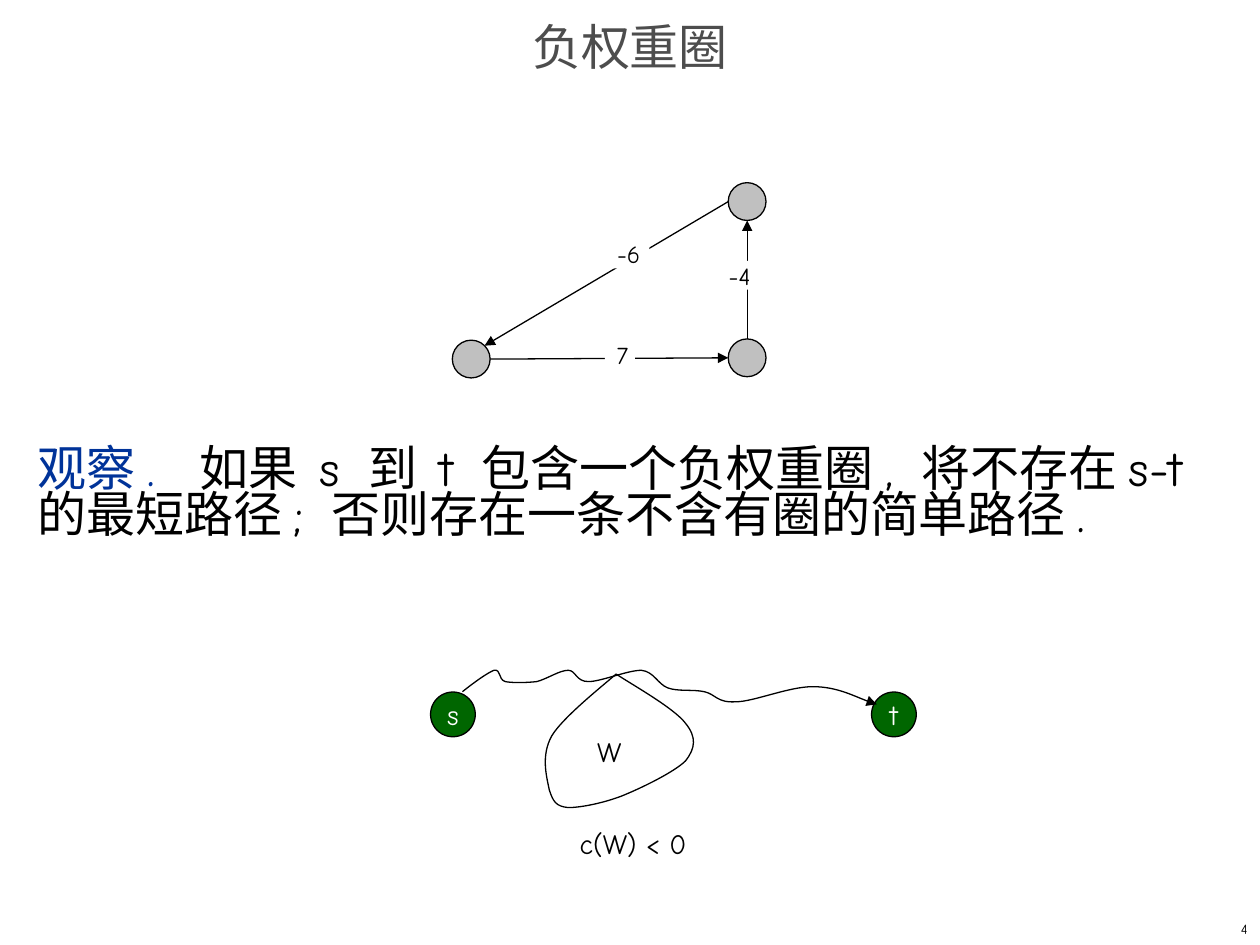
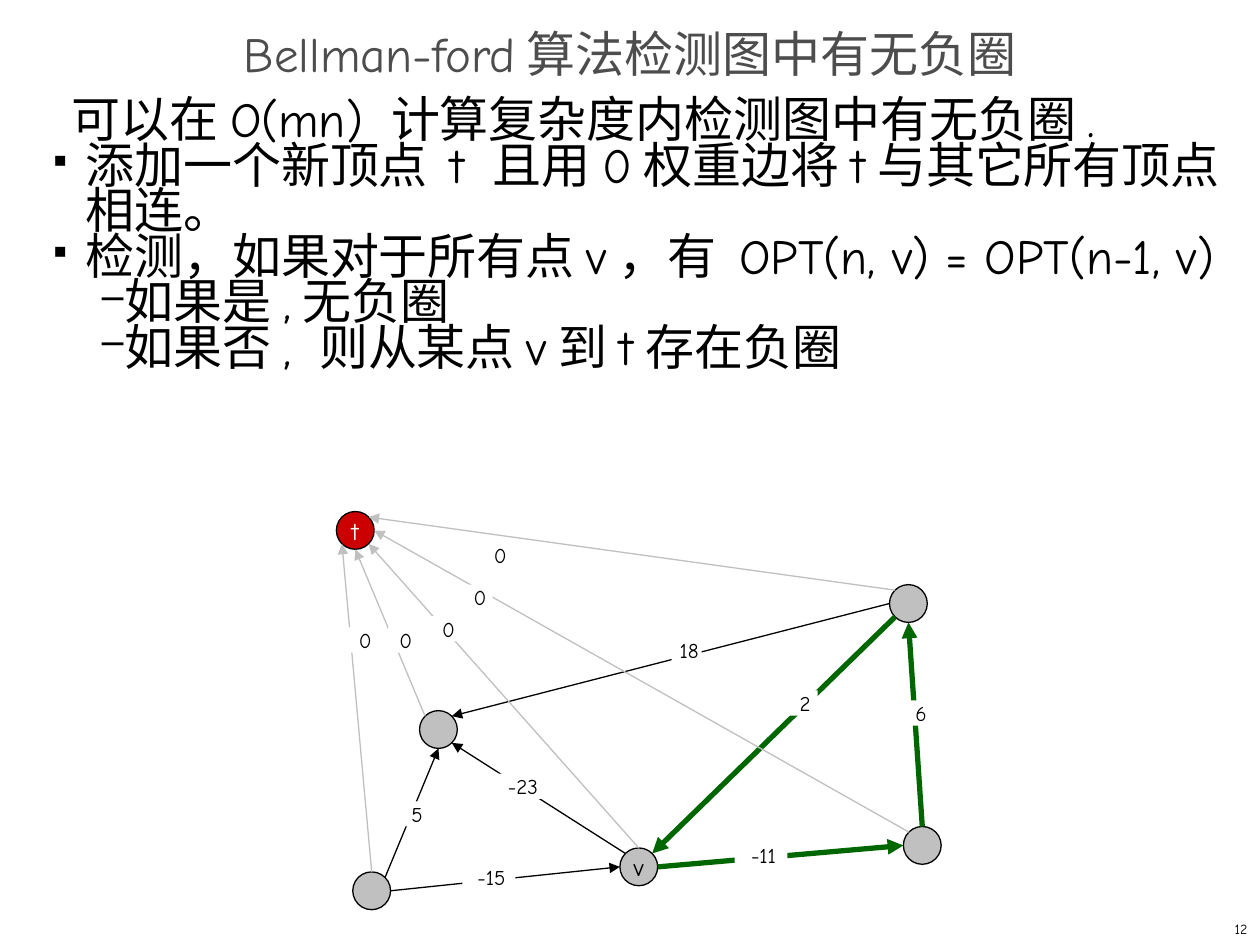
from dataclasses import dataclass

from lxml import etree
from pptx import Presentation
from pptx import util as u
from pptx.dml.color import RGBColor
from pptx.enum import shapes, text
from pptx.oxml.ns import qn


@dataclass(frozen=True)
class Theme:
    font: str = "Comic Neue"
    title_color: str = "4D4D4D"
    ink: str = "000000"
    paper: str = "FFFFFF"
    accent: str = "003399"
    gray: str = "C0C0C0"
    green: str = "006600"
    red: str = "CC0000"
    heading: int = 28
    big_label: int = 16
    label: int = 14
    small_label: int = 12
    footer: int = 8
    leading: int = 26
    thin: float = 0.75
    thick: float = 3


T = Theme()
COLS, ROWS = 100, 75  # square grid cells of a tenth of an inch
CENTER, RIGHT = text.PP_ALIGN.CENTER, text.PP_ALIGN.RIGHT
DIAGONAL = 0.707
COMPASS = {"N": (0, -1), "S": (0, 1), "W": (-1, 0), "E": (1, 0)}
for ns in "NS":
    for we in "WE":
        COMPASS[ns + we] = (COMPASS[we][0] * DIAGONAL, COMPASS[ns][1] * DIAGONAL)


def grid(*cells):
    return [u.Inches(c / 10) for c in cells]


def set_all(obj, **values):
    for name, value in values.items():
        setattr(obj, name, value)


def rgb(color):
    return RGBColor.from_string(color)


def add_run(p, words, size, color):
    r = p.add_run()
    r.text = words
    set_all(r.font, name=T.font, size=u.Pt(size))
    r.font.color.rgb = rgb(color)


def set_frame(tf, wrap=True, anchor=text.MSO_ANCHOR.MIDDLE, sides=1, ends=0.5):
    left, top = grid(sides, ends)
    set_all(tf, word_wrap=wrap, vertical_anchor=anchor, margin_left=left,
            margin_right=left, margin_top=top, margin_bottom=top)


def add_text(slide, words, box, size, color=T.ink, align=CENTER):
    tf = slide.shapes.add_textbox(*grid(*box)).text_frame
    set_frame(tf)
    p = tf.paragraphs[0]
    p.alignment = align
    add_run(p, words, size, color)


def add_slide(prs, title, title_row, number):
    s = prs.slides.add_slide(prs.slide_layouts[5])
    sp = s.shapes.title
    left, top, width, height = grid(0, title_row, COLS, 5)
    set_all(sp, left=left, top=top, width=width, height=height)
    set_frame(sp.text_frame)
    p = sp.text_frame.paragraphs[0]
    set_all(p, alignment=CENTER, line_spacing=0.7)
    add_run(p, title, T.heading, T.title_color)
    add_text(s, number, (79.2, ROWS - 2.5, COLS - 79.2, 2.5), T.footer, align=RIGHT)
    return s


def set_indent(p, margin, hanging=0, bullet=None, percent=100):
    """Indent a paragraph, in grid columns, and give it a bullet if one is named."""
    pPr = p._p.get_or_add_pPr()
    pPr.set("marL", str(grid(margin)[0]))
    pPr.set("indent", str(grid(-hanging)[0]))
    if bullet:
        clr = etree.SubElement(pPr, qn("a:buClr"))
        etree.SubElement(clr, qn("a:srgbClr"), val=T.ink)
        etree.SubElement(pPr, qn("a:buSzPct"), val=str(percent * 1000))
        etree.SubElement(pPr, qn("a:buChar"), char=bullet)


LEVELS = {
    "plain": (0,),
    "lead": (2.7,),
    "square": (3.8, 2.5, "■", 35),
    "dash": (6.9, 1.8, "–", 80),
}


def add_body(slide, box, paragraphs):
    """Each paragraph is a level name and a list of (words, color)."""
    tf = slide.shapes.add_textbox(*grid(*box)).text_frame
    set_frame(tf, anchor=text.MSO_ANCHOR.TOP)
    for i, (level, runs) in enumerate(paragraphs):
        p = tf.add_paragraph() if i else tf.paragraphs[0]
        p.line_spacing = u.Pt(T.leading)
        set_indent(p, *LEVELS[level])
        for words, color in runs:
            add_run(p, words, T.heading, color)


def add_node(slide, x, y, name="", fill=T.gray, color=T.ink, size=T.label, d=3):
    """Draw a circle centred on column x and row y."""
    sp = slide.shapes.add_shape(shapes.MSO_SHAPE.OVAL, *grid(x - d / 2, y - d / 2, d, d))
    sp.shadow.inherit = False
    sp.fill.solid()
    sp.fill.fore_color.rgb = rgb(fill)
    sp.line.color.rgb = rgb(T.ink)
    sp.line.width = u.Pt(T.thin)
    if name:
        set_frame(sp.text_frame, wrap=False)
        p = sp.text_frame.paragraphs[0]
        p.alignment = CENTER
        add_run(p, name, size, color)
    return sp


def add_nodes(slide, centres):
    return {key: add_node(slide, *centre) for key, centre in centres.items()}


def site(node, direction):
    dx, dy = COMPASS[direction]
    return (int(node.left + node.width * (1 + dx) / 2),
            int(node.top + node.height * (1 + dy) / 2))


def set_arrow(line, color=T.ink, width=T.thin):
    line.color.rgb = rgb(color)
    line.width = u.Pt(width)
    etree.SubElement(line._get_or_add_ln(), qn("a:tailEnd"), type="triangle")


def add_edges(slide, nodes, edges, color=T.ink, width=T.thin):
    """Each edge is (source, side, target, side)."""
    for source, out, target, into in edges:
        cn = slide.shapes.add_connector(shapes.MSO_CONNECTOR.STRAIGHT,
                                        *site(nodes[source], out), *site(nodes[target], into))
        set_arrow(cn.line, color, width)
        etree.SubElement(cn._element.spPr, qn("a:effectLst"))


def add_weights(slide, weights, size, height, wide):
    """Each weight is (words, centre column, centre row); signed ones are wide."""
    for words, x, y in weights:
        w = wide if words.startswith("-") else 2.4
        sp = slide.shapes.add_shape(shapes.MSO_SHAPE.RECTANGLE,
                                    *grid(x - w / 2, y - height / 2, w, height))
        sp.shadow.inherit = False
        sp.fill.solid()
        sp.fill.fore_color.rgb = rgb(T.paper)
        sp.line.fill.background()
        tf = sp.text_frame
        set_frame(tf, anchor=text.MSO_ANCHOR.TOP, sides=0, ends=0)
        tf.margin_left = grid(0.4)[0]
        p = tf.paragraphs[0]
        p.alignment = CENTER
        add_run(p, words, size, T.ink)


def add_curve(slide, points):
    """Draw an open arrow of cubic curves: a start, then three points for each curve."""
    start, *rest = [grid(*point) for point in points]
    builder = slide.shapes.build_freeform(*start, scale=1.0)
    builder.add_line_segments(rest, close=False)
    sp = builder.convert_to_shape()
    sp.shadow.inherit = False
    sp.fill.background()
    set_arrow(sp.line)
    segments = list(sp._element.iter(qn("a:lnTo")))
    for i in range(0, len(segments), 3):
        curve = etree.Element(qn("a:cubicBezTo"))
        segments[i].addprevious(curve)
        for segment in segments[i:i + 3]:
            curve.append(segment[0])
            segment.getparent().remove(segment)


def negative_cycle_slide(prs):
    s = add_slide(prs, "负权重圈", 1.7, "4")
    add_body(s, (2, 35.3, 95.3, 33.9), [("plain", [
        ("观察.  ", T.accent),
        ("如果 s 到 t 包含一个负权重圈, 将不存在s-t 的最短路径; "
         "否则存在一条不含有圈的简单路径.", T.ink)])])

    for name, x in (("s", 35.95), ("t", 70.95)):
        add_node(s, x, 56.7, name, T.green, T.paper, T.big_label, d=3.55)
    add_curve(s, [
        (36.7, 54.9), (37.7, 54.1), (38.7, 53.4), (39.2, 53.2),
        (39.8, 53.1), (39.5, 53.9), (40.1, 54.1), (40.6, 54.2), (41.7, 54.2), (42.6, 54.1),
        (43.4, 53.9), (44.4, 53.2), (45.1, 53.2), (45.7, 53.2), (45.7, 54.1), (46.7, 54.1),
        (47.7, 54.1), (49.8, 53.2), (50.9, 53.2), (51.9, 53.3), (52.2, 54.3), (53, 54.6),
        (53.8, 54.9), (55, 54.7), (55.9, 54.9), (56.8, 55.1), (56.9, 55.8), (58.4, 55.7),
        (59.8, 55.7), (62.6, 54.5), (64.5, 54.5), (66.4, 54.5), (68.5, 55.6), (69.6, 55.9)])
    add_curve(s, [
        (48.9, 53.5), (48, 54.3), (44.7, 56.9), (43.8, 58.4),
        (42.9, 60), (43.4, 61.7), (43.6, 62.7), (43.9, 63.6), (44.1, 64), (45.1, 64.1),
        (46, 64.1), (47.7, 63.8), (49.3, 63.2), (50.8, 62.6), (53.5, 61.3), (54.4, 60.4),
        (55.2, 59.4), (55.3, 58.5), (54.4, 57.4), (53.5, 56.2), (50.1, 54.3), (48.9, 53.5)])
    add_text(s, "W", (46.4, 57.8, 3.9, 3.7), T.big_label)
    add_text(s, "c(W) < 0", (43.3, 65.1, 13.9, 3.7), T.big_label)

    nodes = add_nodes(s, {"top": (59.3, 16), "right": (59.3, 28.4), "left": (37.4, 28.5)})
    add_edges(s, nodes, [("right", "N", "top", "S"), ("left", "E", "right", "W"),
                         ("top", "W", "left", "NE")])
    add_weights(s, [("-6", 49.7, 20.15), ("7", 49.2, 28.15), ("-4", 58.5, 21.85)],
                T.label, height=2.3, wide=3.7)


def detection_slide(prs):
    s = add_slide(prs, "Bellman-ford算法检测图中有无负圈", 2.3, "12")
    lines = [
        ("lead", "可以在O(mn) 计算复杂度内检测图中有无负圈."),
        ("square", "添加一个新顶点 t 且用0权重边将t与其它所有顶点相连。"),
        ("square", "检测，如果对于所有点v，有 OPT(n, v) = OPT(n-1, v)"),
        ("dash", "如果是,无负圈"),
        ("dash", "如果否, 则从某点v到t存在负圈"),
    ]
    add_body(s, (2, 7.6, 98, 59.2), [(level, [(words, T.ink)]) for level, words in lines])

    nodes = add_nodes(s, {
        "upper": (72.1, 47.9), "inner": (34.8, 57.9), "lower": (29.5, 70.7),
        "right": (73.2, 67.1), "v": (50.7, 68.8, "v")})
    add_edges(s, nodes, [
        ("upper", "W", "inner", "NE"), ("v", "NW", "inner", "SE"),
        ("lower", "NE", "inner", "S"), ("lower", "E", "v", "W")])
    add_edges(s, nodes, [
        ("right", "N", "upper", "S"), ("v", "E", "right", "W"),
        ("upper", "SW", "v", "NE")], T.green, T.thick)
    weights = {"size": T.small_label, "height": 2, "wide": 4.2}
    add_weights(s, [
        ("18", 54.5, 51.6), ("2", 63.7, 55.8), ("5", 32.9, 64.6), ("-23", 41.3, 62.4),
        ("-15", 38.8, 69.6), ("-11", 60.4, 67.9), ("6", 72.9, 56.6)], **weights)

    nodes["t"] = add_node(s, 28.2, 42.1, "t", T.red, T.paper)
    add_edges(s, nodes, [
        ("upper", "NW", "t", "NE"), ("inner", "NW", "t", "S"), ("lower", "N", "t", "SW"),
        ("right", "NW", "t", "E"), ("v", "N", "t", "SE")], T.gray)
    zero_centres = [(28.8, 50.8), (39.5, 44.1), (32, 50.8), (35.4, 49.9), (37.9, 47.4)]
    add_weights(s, [("0", x, y) for x, y in zero_centres], **weights)


def main():
    prs = Presentation()
    prs.slide_width, prs.slide_height = grid(COLS, ROWS)
    negative_cycle_slide(prs)
    detection_slide(prs)
    prs.save("out.pptx")


if __name__ == "__main__":
    main()
